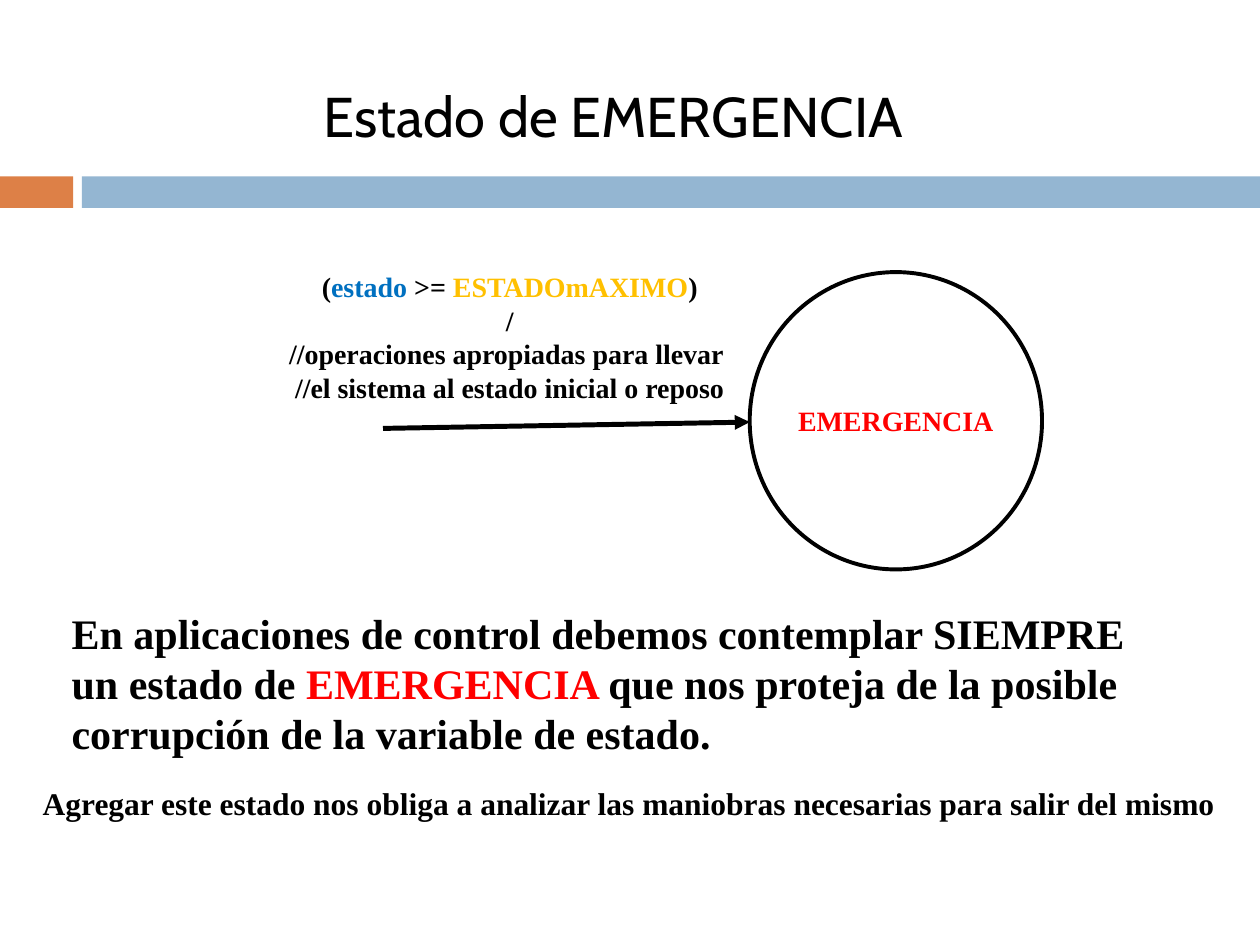
from pptx import Presentation
from pptx import util as u
from pptx.dml.color import RGBColor
from pptx.enum import shapes, text
from pptx.oxml.ns import qn
from lxml import etree

PX = 9144  # 100 px to the inch
SERIF = "Times New Roman"
BLACK, WHITE, RED = "000000", "FFFFFF", "FF0000"
LEFT, MID = text.PP_ALIGN.LEFT, text.PP_ALIGN.CENTER
TOP, CENTER, BOTTOM = (text.MSO_ANCHOR.TOP, text.MSO_ANCHOR.MIDDLE,
                       text.MSO_ANCHOR.BOTTOM)


def px(*vals):
    return [u.Emu(v * PX) for v in vals]


def color(code):
    return RGBColor.from_string(code)


def write(shape, paras, size=16, font=SERIF, bold=True, align=LEFT,
          anchor=TOP, wrap=True, pad=(10, 5), indent=None):
    """Fill a shape with paragraphs, each a list of (words, colour) runs."""
    frame = shape.text_frame
    frame.word_wrap = wrap
    frame.auto_size = text.MSO_AUTO_SIZE.NONE
    frame.vertical_anchor = anchor
    frame.margin_left = frame.margin_right = u.Emu(pad[0] * PX)
    frame.margin_top = frame.margin_bottom = u.Emu(pad[1] * PX)
    for i, runs in enumerate(paras):
        para = frame.paragraphs[0] if i == 0 else frame.add_paragraph()
        para.alignment = align
        if indent:
            props = para._p.get_or_add_pPr()
            props.set("marL", str(indent[0] * PX))
            props.set("indent", str(indent[1] * PX))
        for words, code in runs:
            run = para.add_run()
            run.text = words
            run.font.size = u.Pt(size)
            run.font.name = font
            run.font.bold = bold
            run.font.color.rgb = color(code)


def label(slide, box, paras, **style):
    write(slide.shapes.add_textbox(*px(*box)), paras, **style)


def block(slide, kind, box, fill, line=None, width=0):
    shape = slide.shapes.add_shape(kind, *px(*box))
    shape.shadow.inherit = False
    shape.fill.solid()
    shape.fill.fore_color.rgb = color(fill)
    if line:
        shape.line.color.rgb = color(line)
        shape.line.width = u.Pt(width)
    else:
        shape.line.fill.background()
    return shape


def arrow(slide, start, end, width):
    link = slide.shapes.add_connector(
        shapes.MSO_CONNECTOR.STRAIGHT, *px(*start, *end))
    link.line.color.rgb = color(BLACK)
    link.line.width = u.Pt(width)
    etree.SubElement(link.line._get_or_add_ln(), qn("a:tailEnd"),
                     type="triangle")
    etree.SubElement(link._element.spPr, qn("a:effectLst"))


def header(slide, x, y, w, h):
    # Two-colour band along the bottom of the header
    rect, band, split, gap = shapes.MSO_SHAPE.RECTANGLE, 25, 58, 7
    top = y + h - band
    block(slide, rect, (x, top, split, band), "DD8047")
    rest = split + gap
    block(slide, rect, (x + rest, top, w - rest, band), "94B6D2")
    # Title
    title = slide.shapes.title
    title.left, title.top, title.width, title.height = px(x, y + 44, w - 26, 79)
    write(title, [[("Estado de EMERGENCIA", BLACK)]], size=32, font="Cabin",
          bold=False, align=MID, anchor=BOTTOM)


def diagram(slide, x, y, w, h):
    # State circle at the right end
    size = 232
    left = x + w - size
    state = block(slide, shapes.MSO_SHAPE.OVAL, (left, y + 7, size, h - 7),
                  WHITE, BLACK, 2.25)
    write(state, [[("EMERGENCIA", RED)]], align=MID, anchor=CENTER, pad=(0, 0))
    # Condition and actions of the transition
    label(slide, (x, y, 371, 117), [
        [("(", BLACK), ("estado", "0070C0"), (" >= ", BLACK),
         ("ESTADOmAXIMO", "FFC000"), (")", BLACK)],
        [("/", BLACK)],
        [("//operaciones apropiadas para llevar ", BLACK)],
        [("//el sistema al estado inicial o reposo", BLACK)],
    ], align=MID, wrap=False)
    arrow(slide, (x + 85, y + 131), (left, y + 126), 2.83)


def notice(slide, x, y, w, h):
    # Main advice
    label(slide, (x + 33, y, 890, 130), [
        [("En aplicaciones de control debemos contemplar SIEMPRE un estado de ",
          BLACK),
         ("EMERGENCIA ", RED),
         ("que nos proteja de la posible corrupción de la variable de estado.",
          BLACK)],
    ], size=24)
    # Consequence
    label(slide, (x, y + h - 40, w, 40), [
        [("Agregar este estado nos obliga a analizar las maniobras necesarias "
          "para salir del mismo", BLACK)],
    ], size=18, wrap=False, indent=(38, -28))


def main():
    deck = Presentation()
    deck.slide_width, deck.slide_height = px(1000, 750)
    slide = deck.slides.add_slide(deck.slide_layouts[5])
    header(slide, 0, 0, 1000, 165)
    diagram(slide, 219, 209, 608, 243)
    notice(slide, 14, 477, 1018, 180)
    deck.save("out.pptx")


if __name__ == "__main__":
    main()
